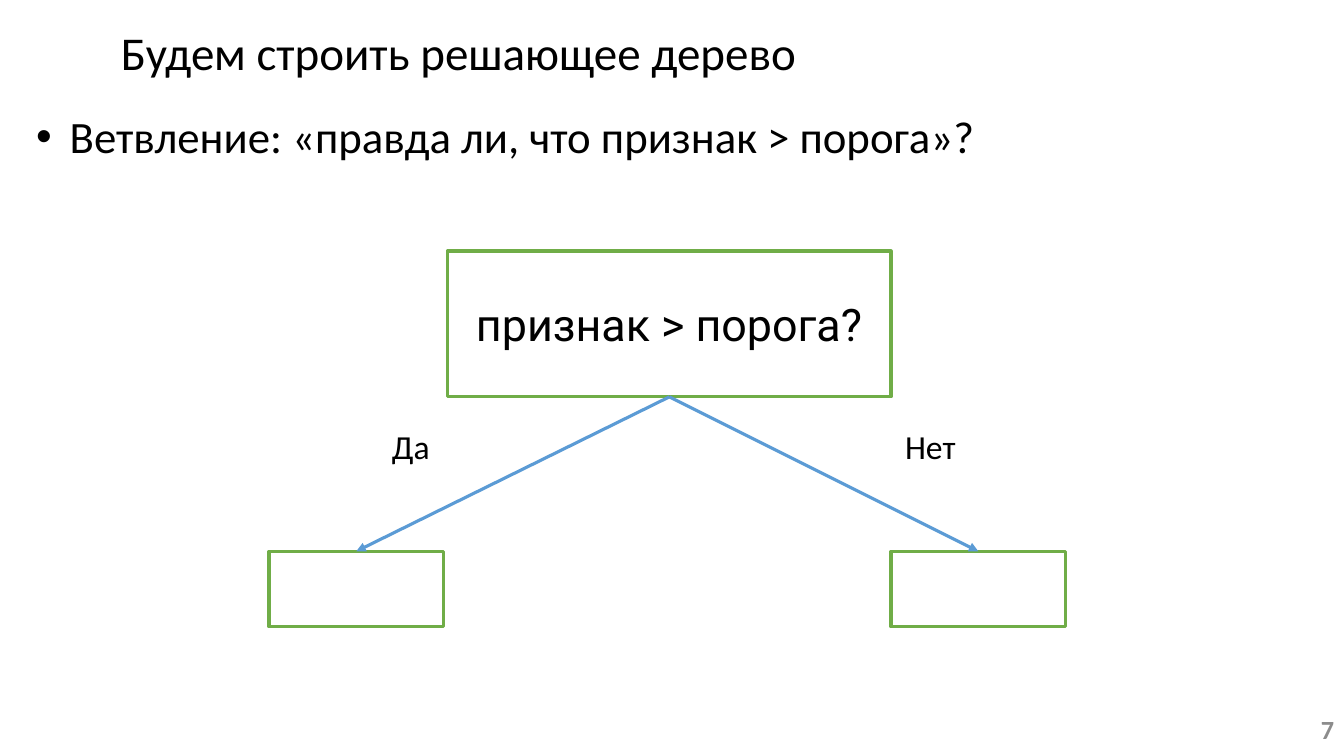
import pptx
import pptx.util
import pptx.dml.color
import pptx.enum.shapes
import pptx.enum.text
import pptx.oxml.ns
import lxml.etree

Pt = pptx.util.Pt
qn = pptx.oxml.ns.qn
Align = pptx.enum.text.PP_ALIGN
Anchor = pptx.enum.text.MSO_ANCHOR


def paint(color, code):
    color.rgb = pptx.dml.color.RGBColor.from_string(code)


def write(shape, text, size, face="Calibri", code="000000", wrap=True):
    frame = shape.text_frame
    frame.text = text
    frame.word_wrap = wrap
    line = frame.paragraphs[0]
    font = line.runs[0].font
    font.size = Pt(size)
    font.name = face
    paint(font.color, code)
    return line


deck = pptx.Presentation()
deck.slide_width = Pt(960)
deck.slide_height = Pt(540)
slide = deck.slides.add_slide(deck.slide_layouts[6])
shapes = slide.shapes

body = shapes.add_textbox(Pt(18.7), Pt(78.5), Pt(920), Pt(442))
line = write(body, "Ветвление: «правда ли, что признак > порога»?", 32)
line.line_spacing = 0.9
props = line._p.get_or_add_pPr()
props.set("marL", str(Pt(24)))
props.set("indent", str(Pt(-24)))
font = lxml.etree.SubElement(props, qn("a:buFont"))
font.set("typeface", "Arial")
bullet = lxml.etree.SubElement(props, qn("a:buChar"))
bullet.set("char", "•")

number = shapes.add_textbox(Pt(936), Pt(507.6), Pt(24), Pt(26.6))
number.text_frame.vertical_anchor = Anchor.MIDDLE
line = write(number, "7", 18.7, code="8C8C8C")
line.alignment = Align.RIGHT
line.runs[0].font.bold = True

title = shapes.add_textbox(Pt(79.2), Pt(18), Pt(860), Pt(43.2))
line = write(title, "Будем строить решающее дерево", 33.6)
line.line_spacing = 0.9

nodes = []
for left, top, width, height in [
    (319.7, 179.3, 316.8, 104.2),
    (192.2, 393.8, 124.6, 54),
    (636.5, 393.8, 124.6, 54),
]:
    node = shapes.add_shape(
        pptx.enum.shapes.MSO_SHAPE.RECTANGLE,
        Pt(left), Pt(top), Pt(width), Pt(height))
    node.shadow.inherit = False
    node.fill.solid()
    paint(node.fill.fore_color, "FFFFFF")
    paint(node.line.color, "70AD47")
    node.line.width = Pt(2.25)
    nodes.append(node)

root, *leaves = nodes
root.text_frame.vertical_anchor = Anchor.MIDDLE
line = write(root, "признак > порога?", 32, "Roboto")
line.alignment = Align.CENTER

for leaf in leaves:
    arrow = shapes.add_connector(
        pptx.enum.shapes.MSO_CONNECTOR.STRAIGHT, 0, 0, 0, 0)
    arrow.begin_connect(root, 2)
    arrow.end_connect(leaf, 0)
    paint(arrow.line.color, "5B9BD5")
    arrow.line.width = Pt(2.25)
    tail = lxml.etree.SubElement(arrow.line._get_or_add_ln(), qn("a:tailEnd"))
    tail.set("type", "triangle")
    lxml.etree.SubElement(arrow._element.spPr, qn("a:effectLst"))

for text, left, width in [("Да", 272.9, 41.8), ("Нет", 639.4, 51.1)]:
    label = shapes.add_textbox(Pt(left), Pt(300.6), Pt(width), Pt(36))
    write(label, text, 24, wrap=False)
    label.text_frame.auto_size = pptx.enum.text.MSO_AUTO_SIZE.SHAPE_TO_FIT_TEXT

deck.save("out.pptx")
